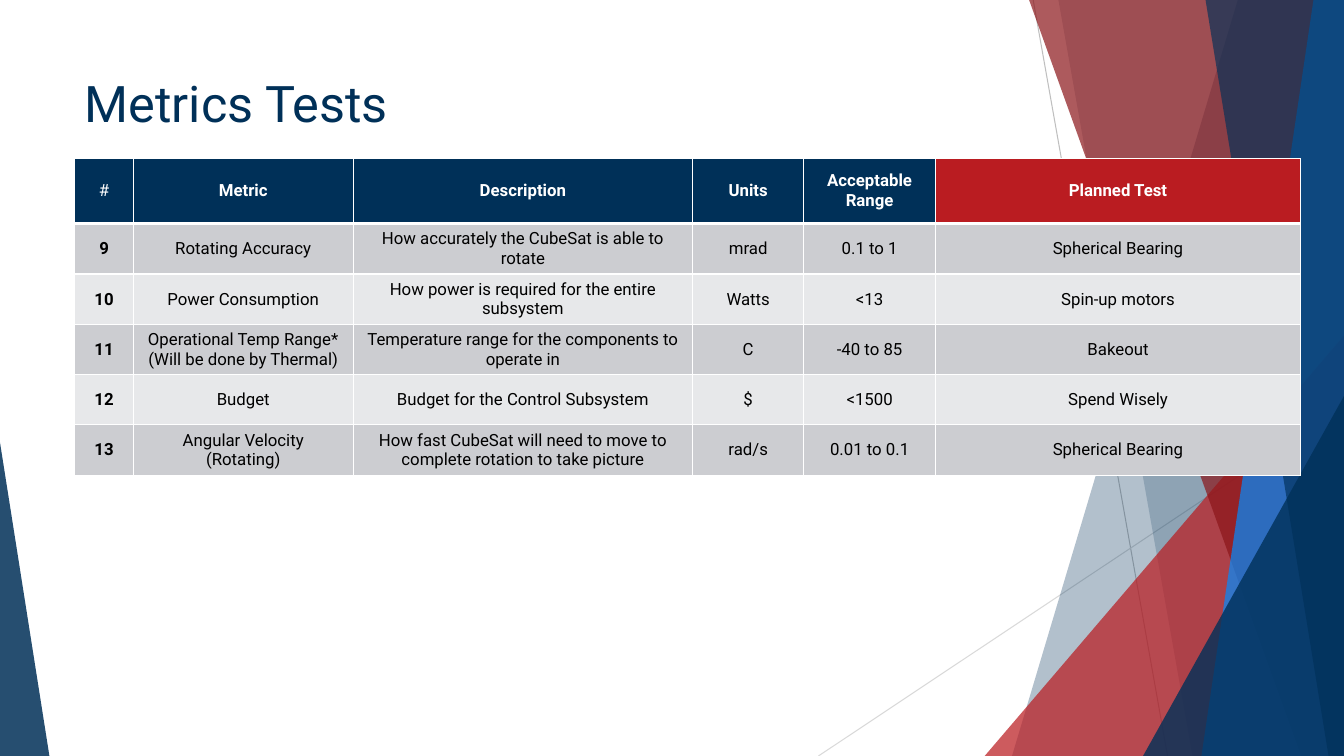
"""Build the Metrics Tests slide: a table of planned tests over angled colour bands."""
from lxml import etree
from pptx import Presentation
from pptx.dml.color import RGBColor
from pptx.enum.shapes import MSO_CONNECTOR, MSO_SHAPE
from pptx.enum.text import MSO_ANCHOR, PP_ALIGN
from pptx.oxml.ns import qn
from pptx.util import Pt

STRAIGHT = MSO_CONNECTOR.STRAIGHT
TRIANGLE = MSO_SHAPE.ISOSCELES_TRIANGLE
MIDDLE, TOP = MSO_ANCHOR.MIDDLE, MSO_ANCHOR.TOP
CENTER = PP_ALIGN.CENTER

W, H = 960, 540
FONT = "Roboto"
NAVY, RED, WHITE, BLACK = "003058", "BA1C21", "FFFFFF", "000000"
STRIPES = ["CCCDD1", "E7E8EA"]

TITLE = "Metrics Tests"
HEADER = ["#", "Metric", "Description", "Units", "Acceptable\nRange", "Planned Test"]
METRICS = [
    ["9", "Rotating Accuracy", "How accurately the CubeSat is able to rotate",
     "mrad", "0.1 to 1", "Spherical Bearing"],
    ["10", "Power Consumption", "How power is required for the entire subsystem",
     "Watts", "<13", "Spin-up motors"],
    ["11", "Operational Temp Range*\n(Will be done by Thermal)",
     "Temperature range for the components to operate in", "C", "-40 to 85", "Bakeout"],
    ["12", "Budget", "Budget for the Control Subsystem", "$", "<1500", "Spend Wisely"],
    ["13", "Angular Velocity (Rotating)",
     "How fast CubeSat will need to move to complete rotation to take picture",
     "rad/s", "0.01 to 0.1", "Spherical Bearing"],
]
COL_WIDTHS = [41.8, 157, 242.6, 79.2, 94.3, 260.6]
HEADER_HEIGHT, ROW_HEIGHT = 46.5, 35.7

LINES = [(738, 0, 834, H, "BFBFBF"), (W, 290, 584.6, H, "D9D9D9")]
# Bands: top x, bottom x, colour, opacity. Triangles: left, top, width, apex, colour, opacity.
BACK_BANDS = [(884.2, 722.9, NAVY, 30), (756, 851.8, NAVY, 20)]
RED_TRIANGLE = (703.4, 239.8, 256.6, 1, RED, 72)
FRONT_BANDS = [(735.1, 929.5, "8B1519", 70), (938.2, 858.2, "028CFF", 70),
               (861.1, 949, NAVY, 65)]
NAVY_TRIANGLES = [(816.5, 283, 143.5, 1, NAVY, 80), (0, 316.1, 35.3, 0, NAVY, 85)]


def rgb(color):
    return RGBColor.from_string(color)


def paint(shape, color, opacity):
    shape.shadow.inherit = False
    shape.line.fill.background()
    shape.fill.solid()
    shape.fill.fore_color.rgb = rgb(color)
    clr = shape.fill._xPr.find(".//" + qn("a:srgbClr"))
    etree.SubElement(clr, qn("a:alpha"), val=str(opacity * 1000))


def add_line(s, x1, y1, x2, y2, color):
    line = s.shapes.add_connector(STRAIGHT, Pt(x1), Pt(y1), Pt(x2), Pt(y2))
    line.line.color.rgb = rgb(color)
    line.line.width = Pt(0.75)
    etree.SubElement(line._element.spPr, qn("a:effectLst"))


def add_band(s, top_x, bottom_x, color, opacity):
    fb = s.shapes.build_freeform(Pt(top_x), 0)
    corners = [(W, 0), (W, H), (bottom_x, H)]
    fb.add_line_segments([(Pt(x), Pt(y)) for x, y in corners], close=True)
    paint(fb.convert_to_shape(), color, opacity)


def add_triangle(s, x, y, w, apex, color, opacity):
    sp = s.shapes.add_shape(TRIANGLE, Pt(x), Pt(y), Pt(w), Pt(H - y))
    sp.adjustments[0] = apex
    paint(sp, color, opacity)


def add_text(p, text, size, color, bold=False):
    r = p.add_run()
    r.text = text
    r.font.name, r.font.size, r.font.bold = FONT, Pt(size), bold
    r.font.color.rgb = rgb(color)


def set_borders(cell, top, bottom):
    tcPr = cell._tc.get_or_add_tcPr()
    widths = {"a:lnL": 1, "a:lnR": 1, "a:lnT": top, "a:lnB": bottom}
    for i, (tag, width) in enumerate(widths.items()):
        ln = etree.Element(qn(tag), w=str(Pt(width)))
        fill = etree.SubElement(ln, qn("a:solidFill"))
        etree.SubElement(fill, qn("a:srgbClr"), val=WHITE)
        tcPr.insert(i, ln)


def fill_cell(cell, text, fill, color, bold):
    cell.fill.solid()
    cell.fill.fore_color.rgb = rgb(fill)
    cell.vertical_anchor = MIDDLE
    tf = cell.text_frame
    for i, part in enumerate(text.split("\n")):
        p = tf.add_paragraph() if i else tf.paragraphs[0]
        p.alignment = CENTER
        add_text(p, part, 12, color, bold)


def add_metrics_table(s):
    rows = [HEADER] + METRICS
    height = HEADER_HEIGHT + ROW_HEIGHT * len(METRICS)
    table = s.shapes.add_table(len(rows), len(HEADER), Pt(53.5), Pt(113.2),
                               Pt(sum(COL_WIDTHS)), Pt(height)).table
    for col, width in zip(table.columns, COL_WIDTHS):
        col.width = Pt(width)
    for i, row in enumerate(rows):
        table.rows[i].height = Pt(ROW_HEIGHT if i else HEADER_HEIGHT)
        for j, text in enumerate(row):
            cell = table.cell(i, j)
            if i == 0:
                fill = RED if j == len(HEADER) - 1 else NAVY
                fill_cell(cell, text, fill, WHITE, j > 0)
            else:
                fill_cell(cell, text, STRIPES[(i - 1) % 2], BLACK, j == 0)
            set_borders(cell, 3 if i == 1 else 1, 3 if i == 0 else 1)


def main():
    prs = Presentation()
    prs.slide_width, prs.slide_height = Pt(W), Pt(H)
    s = prs.slides.add_slide(prs.slide_layouts[6])
    for line in LINES:
        add_line(s, *line)
    for band in BACK_BANDS:
        add_band(s, *band)
    add_triangle(s, *RED_TRIANGLE)
    for band in FRONT_BANDS:
        add_band(s, *band)
    for triangle in NAVY_TRIANGLES:
        add_triangle(s, *triangle)
    tf = s.shapes.add_textbox(Pt(53.5), Pt(48.2), Pt(676.8), Pt(103.7)).text_frame
    tf.word_wrap = True
    tf.vertical_anchor = TOP
    add_text(tf.paragraphs[0], TITLE, 36, NAVY)
    add_metrics_table(s)
    prs.save("out.pptx")


if __name__ == "__main__":
    main()
